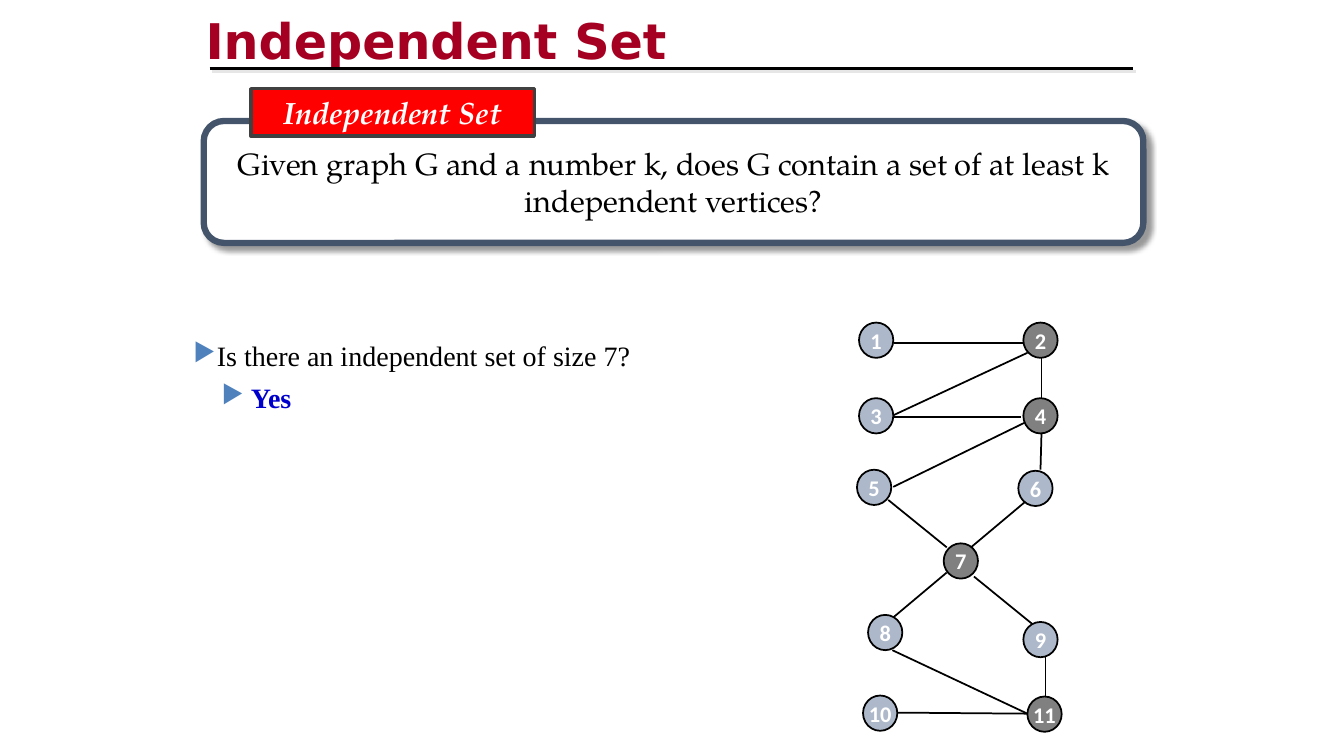
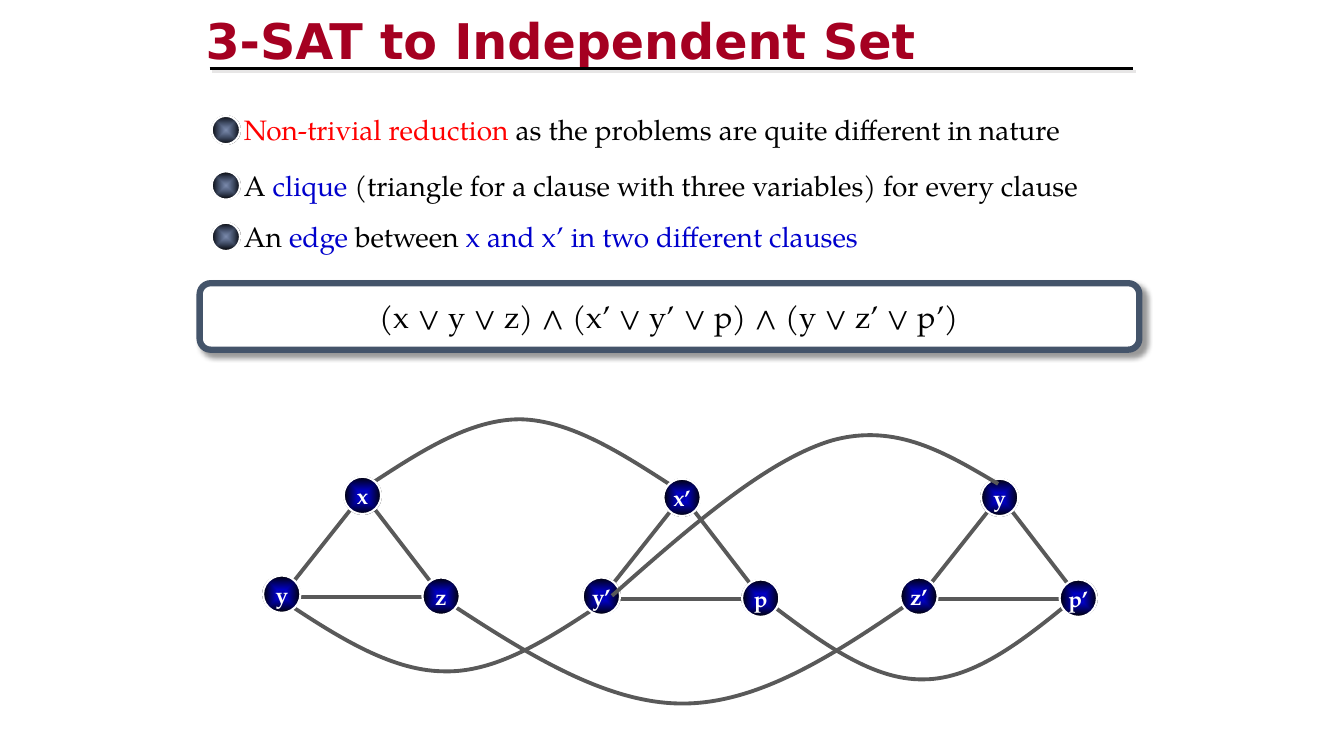
from lxml import etree
from pptx import Presentation
from pptx.dml.color import RGBColor
from pptx.enum.shapes import MSO_CONNECTOR, MSO_SHAPE
from pptx.enum.text import MSO_ANCHOR, PP_ALIGN
from pptx.oxml.ns import qn
from pptx.util import Inches, Pt

OVAL, RECT, ROUNDED = MSO_SHAPE.OVAL, MSO_SHAPE.RECTANGLE, MSO_SHAPE.ROUNDED_RECTANGLE
STRAIGHT = MSO_CONNECTOR.STRAIGHT
TOP, MIDDLE = MSO_ANCHOR.TOP, MSO_ANCHOR.MIDDLE
LEFT, CENTER = PP_ALIGN.LEFT, PP_ALIGN.CENTER

SERIF, TITLE_FONT, NODE_FONT, BODY_FONT = (
    "TeX Gyre Pagella", "DejaVu Sans", "Calibri", "Times New Roman")
BLACK, WHITE, RED, BLUE = "000000", "FFFFFF", "FF0000", "0000CC"
CRIMSON, SLATE, CHARCOAL, PALE = "A50021", "44546A", "595959", "E7E6E6"
NODE_GREY, NODE_BLUE, MARKER = "808080", "ADB9CA", "4F81BD"

BULLET_STOPS = [(0, "002060", 51), (100, BLACK, 100)]
NODE_STOPS = [(0, BLUE, 100), (0, "002060", 25), (6, "0000C0", 100), (10, "0000B7", 100),
              (16, "0000AB", 100), (21, BLUE, 100), (100, BLACK, 100)]

GRAPH_NODES = [(0.02, 0), (1.65, 0), (0.02, 0.75), (1.65, 0.75), (0, 1.46), (1.6, 1.47),
               (0.86, 2.19), (0.11, 2.9), (1.65, 2.97), (0.06, 3.7), (1.69, 3.71)]
COVER_NODES = {2, 4, 7, 11}
GRAPH_EDGES = [
    (0.37, 0.2, 1.66, 0.2), (0.36, 0.92, 1.69, 0.3), (1.83, 0.75, 1.83, 0.35),
    (0.34, 0.94, 1.63, 0.94), (0.36, 1.63, 1.67, 0.99), (1.82, 1.46, 1.83, 1.09),
    (0.31, 1.76, 0.89, 2.23), (1.69, 1.76, 1.13, 2.23), (0.89, 2.48, 0.33, 2.95),
    (1.16, 2.52, 1.75, 3), (0.35, 3.25, 1.69, 3.88), (1.87, 3.71, 1.87, 3.31),
    (0.4, 3.87, 1.69, 3.88)]

CLAUSES = [(2.61, 4.73, ("x", "y", "z")), (5.78, 4.75, ("x’", "y’", "p")),
           (8.93, 4.75, ("y", "z’", "p’"))]
CLAUSE_NODES = [(0.8, 0), (0, 0.98), (1.58, 1)]
CLAUSE_EDGES = [(0.19, 1.18, 0.99, 0.17), (1.76, 1.17, 0.99, 0.17), (1.7, 1.19, 0.2, 1.19)]
CONFLICT_CURVES = [
    [(3.68, 4.8), (4.17, 4.48), (4.66, 4.16), (5.16, 4.16),
     (5.66, 4.17), (6.17, 4.5), (6.68, 4.83)],
    [(2.78, 5.94), (3.32, 6.3), (3.86, 6.65), (4.39, 6.66),
     (4.91, 6.68), (5.42, 6.35), (5.92, 6.02)],
    [(4.36, 5.92), (5.17, 6.45), (5.98, 6.98), (6.77, 6.98),
     (7.56, 6.98), (8.34, 6.45), (9.11, 5.92)],
    [(7.56, 5.93), (8.1, 6.34), (8.63, 6.75), (9.16, 6.74),
     (9.68, 6.74), (10.19, 6.32), (10.7, 5.9)]]
TOP_CURVE = [(6.07, 5.91), (6.84, 5.23), (7.61, 4.56), (8.25, 4.37),
             (8.89, 4.19), (9.39, 4.5), (9.9, 4.8)]


def rgb(value):
    """Turn a hex string into a colour."""
    return RGBColor.from_string(value)


def add(parent, tag, **attributes):
    """Append a drawing element and return it."""
    return etree.SubElement(parent, qn(tag), {key: str(v) for key, v in attributes.items()})


def add_colour(parent, value, alpha=100):
    """Append a hex colour with its opacity in percent."""
    colour = add(parent, "a:srgbClr", val=value)
    if alpha < 100:
        add(colour, "a:alpha", val=alpha * 1000)


def cast_shadow(effects, colour, alpha, blur, distance):
    """Put a shadow falling to the lower right into an effect list."""
    shadow = add(effects, "a:outerShdw", blurRad=Pt(blur), dist=Pt(distance),
                 dir=2700000, algn="tl", rotWithShape=0)
    add_colour(shadow, colour, alpha)


def set_line(item, colour, width):
    """Give a shape or connector a solid line."""
    item.line.color.rgb = rgb(colour)
    item.line.width = Pt(width)


def write(box, paragraphs, size=20, font=SERIF, color=BLACK, bold=False, italic=False,
          align=LEFT, anchor=TOP, wrap=True, before=0):
    """Write paragraphs, each a string or a list of (text, colour) spans."""
    frame = box.text_frame
    frame.word_wrap = wrap
    frame.vertical_anchor = anchor
    for index, content in enumerate(paragraphs):
        para = frame.add_paragraph() if index else frame.paragraphs[0]
        para.alignment = align
        para.space_before = Pt(before)
        for text, colour in [(content, color)] if isinstance(content, str) else content:
            span = para.add_run()
            span.text = text
            span.font.size, span.font.name = Pt(size), font
            span.font.bold, span.font.italic = bold, italic
            span.font.color.rgb = rgb(colour)
    return frame


def add_text(page, left, top, width, height, paragraphs, **style):
    """Add a text box holding formatted text."""
    box = page.shapes.add_textbox(Inches(left), Inches(top), Inches(width), Inches(height))
    return write(box, paragraphs, **style)


def add_box(page, kind, left, top, width, height, fill, line, line_width):
    """Add a preset shape without shadow."""
    box = page.shapes.add_shape(kind, Inches(left), Inches(top), Inches(width), Inches(height))
    box.shadow.inherit = False
    box.fill.solid()
    box.fill.fore_color.rgb = rgb(fill)
    set_line(box, line, line_width)
    return box


def add_ball(page, left, top, size, stops):
    """Add a white-rimmed ball with a radiating gradient."""
    ball = add_box(page, OVAL, left, top, size, size, BLUE, WHITE, 1.5)
    properties = ball._element.spPr
    gradient = etree.Element(qn("a:gradFill"), rotWithShape="1")
    stop_list = add(gradient, "a:gsLst")
    for position, colour, alpha in stops:
        add_colour(add(stop_list, "a:gs", pos=position * 1000), colour, alpha)
    radial = add(gradient, "a:path", path="shape")
    add(radial, "a:fillToRect", l=50000, t=50000, r=50000, b=50000)
    properties.replace(properties.find(qn("a:solidFill")), gradient)
    return ball


def add_line(page, left, top, ends, colour, width):
    """Add a straight line, its ends relative to a corner; return its effect list."""
    x1, y1, x2, y2 = ends
    line = page.shapes.add_connector(STRAIGHT, Inches(left + x1), Inches(top + y1),
                                     Inches(left + x2), Inches(top + y2))
    set_line(line, colour, width)
    return add(line._element.spPr, "a:effectLst")


def add_curve(page, points):
    """Add a curve through a start point and triples of Bézier points."""
    start, *rest = [(Inches(x), Inches(y)) for x, y in points]
    builder = page.shapes.build_freeform(*start)
    builder.add_line_segments(rest, close=False)
    curve = builder.convert_to_shape()
    curve.shadow.inherit = False
    curve.fill.background()
    set_line(curve, CHARCOAL, 2.75)
    outline = next(curve._element.iter(qn("a:path")))
    segments = outline.findall(qn("a:lnTo"))
    for first in range(0, len(segments), 3):
        bezier = add(outline, "a:cubicBezTo")
        for segment in segments[first:first + 3]:
            bezier.append(segment[0])
            outline.remove(segment)


def add_page(deck, title):
    """Add a blank page with the shared title and rule."""
    page = deck.slides.add_slide(deck.slide_layouts[6])
    frame = add_text(page, 1.94, 0.01, 8.5, 0.67, [title], size=35.1, font=TITLE_FONT,
                     color=CRIMSON, bold=True)
    frame.margin_top = Inches(0.09)
    properties = frame.paragraphs[0].runs[0].font._element
    effects = etree.Element(qn("a:effectLst"))
    cast_shadow(effects, PALE, 100, 0, 2.8)
    properties.find(qn("a:solidFill")).addnext(effects)
    cast_shadow(add_line(page, 2.08, 0.68, (0, 0, 9.16, 0), BLACK, 2.25), PALE, 100, 0, 2.8)
    return page


def add_panel(page, left, top, height, paragraphs):
    """Add a rounded statement panel with a soft shadow."""
    panel = add_box(page, ROUNDED, left, top, 9.32, height, WHITE, SLATE, 4.5)
    cast_shadow(panel._element.spPr.find(qn("a:effectLst")), BLACK, 40, 4, 4)
    write(panel, paragraphs, size=22, align=CENTER, anchor=MIDDLE, wrap=False)


def add_question(page, left, top):
    """Add the question and its answer with triangle markers."""
    frame = add_text(page, left, top, 5.75, 0.86,
                     ["Is there an independent set of size 7?", [("Yes", BLUE)]],
                     font=BODY_FONT, before=6)
    frame.paragraphs[1].runs[0].font.bold = True
    frame.paragraphs[1].level = 1
    for para, margin, hang in zip(frame.paragraphs, (0.23, 0.57), (0.23, 0.29)):
        properties = para._p.get_or_add_pPr()
        properties.set("marL", str(Inches(margin)))
        properties.set("indent", str(-Inches(hang)))
        add_colour(add(properties, "a:buClr"), MARKER)
        add(properties, "a:buSzPct", val=90000)
        add(properties, "a:buChar", char="▶")


def add_graph(page, left, top):
    """Draw the numbered graph, with the vertices outside the set in grey."""
    for ends in GRAPH_EDGES:
        add_line(page, left, top, ends, BLACK, 1.25)
    for number, (x, y) in enumerate(GRAPH_NODES, start=1):
        fill = NODE_GREY if number in COVER_NODES else NODE_BLUE
        node = add_box(page, OVAL, left + x, top + y, 0.34, 0.35, fill, BLACK, 1.25)
        write(node, [str(number)], size=16, font=NODE_FONT, color=WHITE, bold=True,
              align=CENTER, anchor=MIDDLE, wrap=False)


def add_clause(page, left, top, literals):
    """Draw one clause as a triangle of literals."""
    for ends in CLAUSE_EDGES:
        add_line(page, left, top, ends, CHARCOAL, 2.75)
    for literal, (x, y) in zip(literals, CLAUSE_NODES):
        node = add_ball(page, left + x, top + y, 0.37, NODE_STOPS)
        write(node, [literal], size=16, color=WHITE, bold=True,
              align=CENTER, anchor=MIDDLE, wrap=False)


def add_point(page, left, top, spans):
    """Add one statement beside a ball."""
    add_ball(page, left, top + 0.08, 0.28, BULLET_STOPS)
    add_text(page, left + 0.22, top, 9.15, 0.44, [spans])


def build_problem(deck):
    """Build the page that defines the problem."""
    page = add_page(deck, "Independent Set")
    add_panel(page, 2.02, 1.2, 1.21,
              ["Given graph G and a number k, does G contain a set of at least k",
               "independent vertices?"])
    tag = add_box(page, RECT, 2.49, 0.88, 2.81, 0.47, RED, "404040", 2.5)
    write(tag, ["Independent Set"], size=22, color=WHITE, bold=True, italic=True, align=CENTER)
    add_question(page, 1.82, 3.31)
    add_graph(page, 8.5, 3.2)


def build_reduction(deck):
    """Build the page that shows the reduction."""
    page = add_page(deck, "3-SAT to Independent Set")
    add_point(page, 2.1, 1.07, [("Non-trivial reduction", RED),
                                (" as the problems are quite different in nature", BLACK)])
    add_point(page, 2.1, 1.62, [
        ("A ", BLACK), ("clique", BLUE),
        (" (triangle for a clause with three variables) for every clause", BLACK)])
    add_point(page, 2.1, 2.13, [("An ", BLACK), ("edge", BLUE), (" between ", BLACK),
                                ("x and x’ in two different clauses", BLUE)])
    add_panel(page, 1.98, 2.81, 0.66, ["(x ∨ y ∨ z) ∧ (x’ ∨ y’ ∨ p) ∧ (y ∨ z’ ∨ p’)"])
    for points in CONFLICT_CURVES:
        add_curve(page, points)
    for left, top, literals in CLAUSES:
        add_clause(page, left, top, literals)
    add_curve(page, TOP_CURVE)


def main():
    """Build and save the deck."""
    deck = Presentation()
    deck.slide_width, deck.slide_height = Inches(13.33), Inches(7.5)
    build_problem(deck)
    build_reduction(deck)
    deck.save("out.pptx")


if __name__ == "__main__":
    main()
